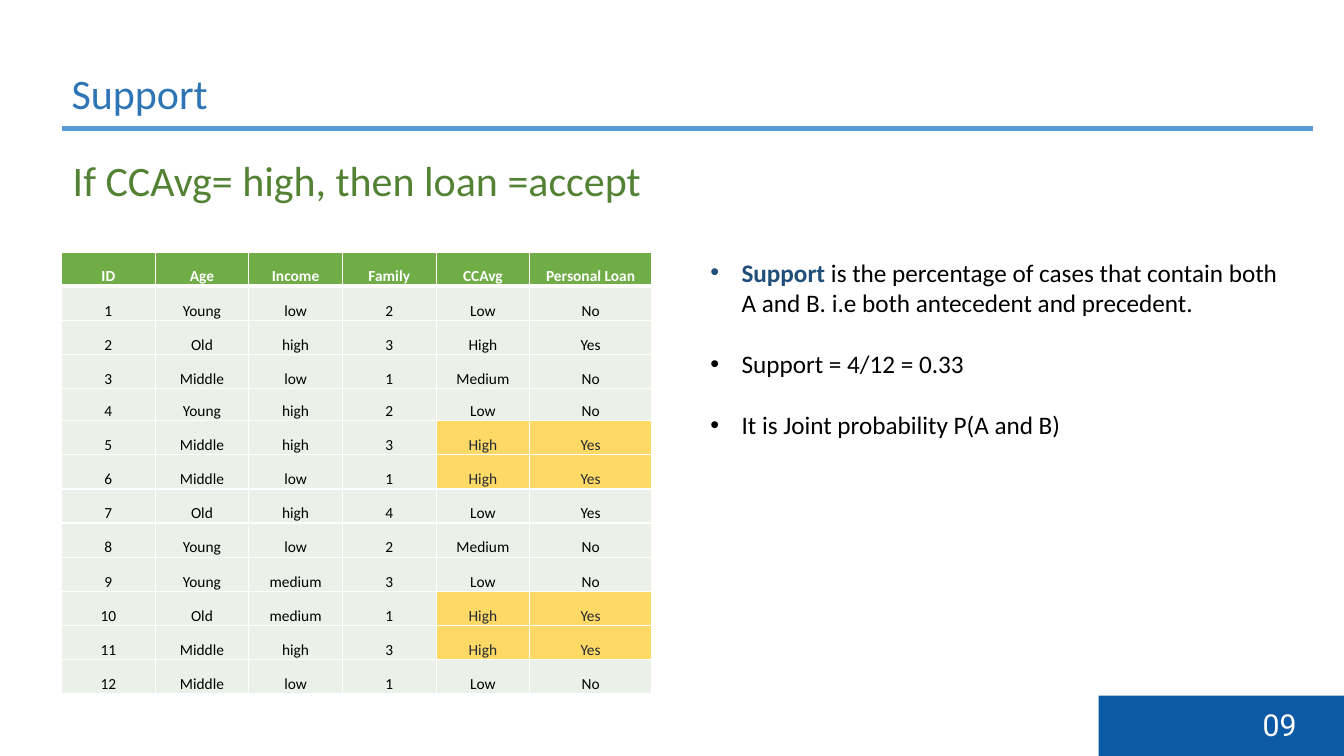
from dataclasses import dataclass

import lxml.etree
import pptx
import pptx.dml.color
import pptx.enum.shapes
import pptx.enum.text
import pptx.oxml.ns
import pptx.util

Cm = pptx.util.Cm
Pt = pptx.util.Pt
RGBColor = pptx.dml.color.RGBColor
qn = pptx.oxml.ns.qn
Align = pptx.enum.text.PP_ALIGN
Anchor = pptx.enum.text.MSO_ANCHOR

WHITE = RGBColor(0xFF, 0xFF, 0xFF)
BLACK = RGBColor(0x00, 0x00, 0x00)
TITLE_BLUE = RGBColor(0x2E, 0x75, 0xB6)
RULE_BLUE = RGBColor(0x5B, 0x9B, 0xD5)
BADGE_BLUE = RGBColor(0x0C, 0x5A, 0xA5)
TERM_BLUE = RGBColor(0x1F, 0x4E, 0x79)
RULE_TEXT_GREEN = RGBColor(0x54, 0x82, 0x35)
HEADER_GREEN = RGBColor(0x70, 0xAD, 0x47)
ROW_GREEN = RGBColor(0xEB, 0xF1, 0xE9)
MATCH_YELLOW = RGBColor(0xFF, 0xD9, 0x66)
MATCH_TEXT = RGBColor(0x22, 0x2A, 0x35)

LEFT = 1.55


@dataclass(frozen=True)
class Box:
    left: float
    top: float
    width: float
    height: float

    def lengths(self) -> tuple:
        return Cm(self.left), Cm(self.top), Cm(self.width), Cm(self.height)


@dataclass(frozen=True)
class TextStyle:
    size: float
    color: RGBColor
    font: str = "Calibri"
    bold: bool = False
    align: Align = Align.LEFT


@dataclass(frozen=True)
class Customer:
    age: str
    income: str
    family: int
    cc_avg: str
    loan: str
    highlighted: bool = False


HEADERS = ("ID", "Age", "Income", "Family", "CCAvg", "Personal Loan")
CUSTOMERS = (
    Customer("Young", "low", 2, "Low", "No"),
    Customer("Old", "high", 3, "High", "Yes"),
    Customer("Middle", "low", 1, "Medium", "No"),
    Customer("Young", "high", 2, "Low", "No"),
    Customer("Middle", "high", 3, "High", "Yes", True),
    Customer("Middle", "low", 1, "High", "Yes", True),
    Customer("Old", "high", 4, "Low", "Yes"),
    Customer("Young", "low", 2, "Medium", "No"),
    Customer("Young", "medium", 3, "Low", "No"),
    Customer("Old", "medium", 1, "High", "Yes", True),
    Customer("Middle", "high", 3, "High", "Yes", True),
    Customer("Middle", "low", 1, "Low", "No"),
)
COLUMN_WIDTHS = (2.36,) * 5 + (3.07,)
ROW_HEIGHT = 0.86
SHORT_ROW, SHORT_ROW_HEIGHT = 4, 0.81

HEADER_STYLE = TextStyle(11, WHITE, bold=True, align=Align.CENTER)
CELL_STYLE = TextStyle(11, BLACK, align=Align.CENTER)
MATCH_STYLE = TextStyle(11, MATCH_TEXT, align=Align.CENTER)

EXPLANATIONS = (
    (("Support", True),
     (" is the percentage of cases that contain both A and B. "
      "i.e both antecedent and precedent.", False)),
    (("Support = 4/12 = 0.33", False),),
    (("It is Joint probability P(A and B)", False),),
)


def write(frame, text: str, style: TextStyle) -> None:
    paragraph = frame.paragraphs[0]
    paragraph.text = text
    paragraph.alignment = style.align
    paragraph.font.name = style.font
    paragraph.font.size = Pt(style.size)
    paragraph.font.bold = style.bold
    paragraph.font.color.rgb = style.color


def add_bar(slide, box: Box, fill: RGBColor):
    bar = slide.shapes.add_shape(
        pptx.enum.shapes.MSO_SHAPE.RECTANGLE, *box.lengths())
    bar.shadow.inherit = False
    bar.fill.solid()
    bar.fill.fore_color.rgb = fill
    bar.line.fill.background()
    return bar


def set_borders(cell, top: float, bottom: float) -> None:
    """Give the cell white borders; must run before the cell gets its fill."""
    properties = cell._tc.get_or_add_tcPr()
    for side, points in (("L", 1), ("R", 1), ("T", top), ("B", bottom)):
        line = lxml.etree.SubElement(
            properties, qn(f"a:ln{side}"), w=str(Pt(points)))
        fill = lxml.etree.SubElement(line, qn("a:solidFill"))
        lxml.etree.SubElement(fill, qn("a:srgbClr"), val=str(WHITE))


def fill_cell(cell, text: str, style: TextStyle, fill: RGBColor) -> None:
    cell.margin_left = cell.margin_right = cell.margin_top = Cm(0.03)
    cell.margin_bottom = 0
    cell.vertical_anchor = Anchor.BOTTOM
    cell.fill.solid()
    cell.fill.fore_color.rgb = fill
    write(cell.text_frame, text, style)


def add_customer_table(slide) -> None:
    row_count = len(CUSTOMERS) + 1
    box = Box(LEFT, 6.35, sum(COLUMN_WIDTHS), ROW_HEIGHT * row_count)
    table = slide.shapes.add_table(
        row_count, len(HEADERS), *box.lengths()).table
    for column, width in zip(table.columns, COLUMN_WIDTHS):
        column.width = Cm(width)
    for row in table.rows:
        row.height = Cm(ROW_HEIGHT)
    table.rows[SHORT_ROW].height = Cm(SHORT_ROW_HEIGHT)

    for column, header in enumerate(HEADERS):
        cell = table.cell(0, column)
        set_borders(cell, top=1, bottom=3)
        fill_cell(cell, header, HEADER_STYLE, HEADER_GREEN)
    for number, customer in enumerate(CUSTOMERS, start=1):
        values = (number, customer.age, customer.income, customer.family,
                  customer.cc_avg, customer.loan)
        for column, value in enumerate(values):
            cell = table.cell(number, column)
            set_borders(cell, top=3 if number == 1 else 1, bottom=1)
            if customer.highlighted and column >= HEADERS.index("CCAvg"):
                fill_cell(cell, str(value), MATCH_STYLE, MATCH_YELLOW)
            else:
                fill_cell(cell, str(value), CELL_STYLE, ROW_GREEN)


def add_explanations(slide) -> None:
    box = Box(17.65, 6.35, 14.99, 5.64)
    frame = slide.shapes.add_textbox(*box.lengths()).text_frame
    frame.word_wrap = True
    for index, parts in enumerate(EXPLANATIONS):
        paragraph = frame.add_paragraph() if index else frame.paragraphs[0]
        paragraph.space_before = Pt(22 if index else 0)
        paragraph.font.name = "Calibri"
        paragraph.font.size = Pt(18)
        for text, is_term in parts:
            run = paragraph.add_run()
            run.text = text
            run.font.bold = is_term
            run.font.color.rgb = TERM_BLUE if is_term else BLACK
        properties = paragraph._p.get_or_add_pPr()
        properties.set("marL", str(Cm(0.79)))
        properties.set("indent", str(-Cm(0.79)))
        bullet_font = lxml.etree.Element(qn("a:buFont"), typeface="Arial")
        bullet = lxml.etree.Element(qn("a:buChar"), char="•")
        properties.find(qn("a:spcBef")).addnext(bullet_font)
        bullet_font.addnext(bullet)


def main() -> None:
    presentation = pptx.Presentation()
    presentation.slide_width = Cm(33.87)
    presentation.slide_height = Cm(19.05)
    slide = presentation.slides.add_slide(presentation.slide_layouts[5])

    title = slide.shapes.title
    title.left, title.top, title.width, title.height = Box(
        LEFT, 1.57, 4.45, 1.5).lengths()
    title.text_frame.word_wrap = False
    title.text_frame.auto_size = pptx.enum.text.MSO_AUTO_SIZE.NONE
    title.text_frame.vertical_anchor = Anchor.TOP
    write(title.text_frame, "Support", TextStyle(30, TITLE_BLUE))

    add_bar(slide, Box(27.69, 17.53, 6.18, 1.52), BADGE_BLUE)
    page_number = slide.shapes.add_textbox(
        *Box(31.57, 17.68, 1.37, 1.17).lengths())
    write(page_number.text_frame, "09", TextStyle(21.6, WHITE, "Roboto"))

    title_rule = add_bar(slide, Box(LEFT, 3.15, 31.55, 0.18), RULE_BLUE)
    title_rule.line.color.rgb = WHITE
    title_rule.line.width = Pt(1)

    add_customer_table(slide)
    association_rule = add_bar(slide, Box(LEFT, 3.76, 14.9, 1.55), WHITE)
    write(association_rule.text_frame, "If CCAvg= high, then loan =accept",
          TextStyle(30, RULE_TEXT_GREEN, align=Align.CENTER))
    add_explanations(slide)
    presentation.save("out.pptx")


if __name__ == "__main__":
    main()
